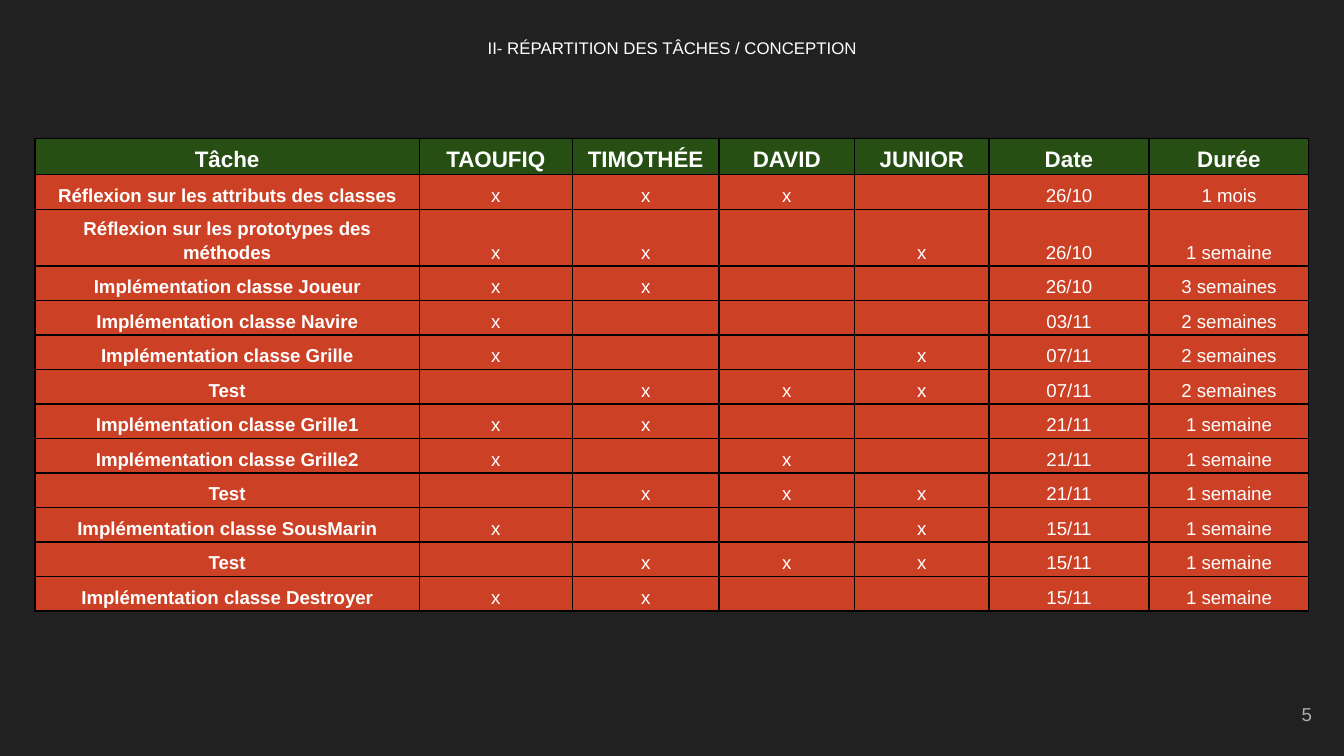
from dataclasses import dataclass

from lxml.etree import SubElement
from pptx import Presentation
from pptx.dml.color import RGBColor
from pptx.enum.text import MSO_ANCHOR, MSO_AUTO_SIZE, PP_ALIGN
from pptx.oxml import parse_xml
from pptx.oxml.ns import nsdecls, qn
from pptx.util import Inches, Pt


@dataclass(frozen=True)
class Theme:
    """Colours, font and type sizes of the deck."""
    back: RGBColor = RGBColor.from_string("212121")
    head: RGBColor = RGBColor.from_string("274E13")
    body: RGBColor = RGBColor.from_string("CC4125")
    text: RGBColor = RGBColor.from_string("FFFFFF")
    mute: RGBColor = RGBColor.from_string("ADADAD")
    edge: str = "000000"
    font: str = "Arial"
    title: Pt = Pt(9)
    label: Pt = Pt(12)
    small: Pt = Pt(10)
    blank: Pt = Pt(13)


THEME = Theme()
INSETS = {f"margin_{side}": Inches(0.1) for side in ("left", "top", "right", "bottom")}
CELL = {name: Inches(0.02) for name in INSETS} | {"vertical_anchor": MSO_ANCHOR.BOTTOM}
WIDTHS = (2.86, 1.14, 1.09, 1.01, 1, 1.19, 1.19)
HEADS = ("Tâche", "TAOUFIQ", "TIMOTHÉE", "DAVID", "JUNIOR", "Date", "Durée")
TASKS = (
    ("Réflexion sur les attributs des classes", "xxx-", "26/10", "1 mois"),
    ("Réflexion sur les prototypes des méthodes", "xx-x", "26/10", "1 semaine"),
    ("Implémentation classe Joueur", "xx--", "26/10", "3 semaines"),
    ("Implémentation classe Navire", "x---", "03/11", "2 semaines"),
    ("Implémentation classe Grille", "x--x", "07/11", "2 semaines"),
    ("Test", "-xxx", "07/11", "2 semaines"),
    ("Implémentation classe Grille1", "xx--", "21/11", "1 semaine"),
    ("Implémentation classe Grille2", "x-x-", "21/11", "1 semaine"),
    ("Test", "-xxx", "21/11", "1 semaine"),
    ("Implémentation classe SousMarin", "x--x", "15/11", "1 semaine"),
    ("Test", "-xxx", "15/11", "1 semaine"),
    ("Implémentation classe Destroyer", "xx--", "15/11", "1 semaine"),
)


def apply(item, values):
    """Set each named value on the item."""
    for name, value in values.items():
        setattr(item, name, value)


def place(shape, box):
    """Move the shape into the box, given in inches."""
    apply(shape, dict(zip(("left", "top", "width", "height"), map(Inches, box))))


def write(frame, text, size, color=THEME.text, bold=False, **para):
    """Write one formatted line of text into the frame."""
    line = frame.paragraphs[0]
    apply(line, {"alignment": PP_ALIGN.CENTER, "line_spacing": 1.15} | para)
    if not text:
        SubElement(line._p, qn("a:endParaRPr"), sz=str(int(THEME.blank.pt * 100)))
        return
    run = line.add_run()
    run.text = text
    apply(run.font, {"name": THEME.font, "size": size, "bold": bold})
    run.font.color.rgb = color


def add_title(slide, box, text):
    """Fill the title placeholder."""
    title = slide.shapes.title
    place(title, box)
    apply(title.text_frame, INSETS | {"vertical_anchor": MSO_ANCHOR.TOP,
                                      "auto_size": MSO_AUTO_SIZE.NONE, "word_wrap": True})
    write(title.text_frame, text, THEME.title)


def add_number(slide, box, text):
    """Add the page number."""
    frame = slide.shapes.add_textbox(*map(Inches, box)).text_frame
    apply(frame, INSETS | {"vertical_anchor": MSO_ANCHOR.MIDDLE, "word_wrap": False})
    write(frame, text, THEME.small, THEME.mute, alignment=PP_ALIGN.RIGHT, line_spacing=1.0)


def fill_cell(cell, text, fill, size, bold):
    """Fill one table cell and draw its borders."""
    apply(cell, CELL)
    cell.fill.solid()
    cell.fill.fore_color.rgb = fill
    write(cell.text_frame, text, size, bold=bold)
    for spot, side in enumerate("LRTB"):
        cell._tc.tcPr.insert(spot, parse_xml(
            f'<a:ln{side} {nsdecls("a")} w="{Pt(0.75)}"><a:solidFill>'
            f'<a:srgbClr val="{THEME.edge}"/></a:solidFill></a:ln{side}>'))


def add_tasks(slide, box):
    """Add the table of tasks, who does them and when."""
    rows = [HEADS] + [(task, *marks.replace("-", " "), date, span)
                      for task, marks, date, span in TASKS]
    grid = slide.shapes.add_table(len(rows), len(HEADS), *map(Inches, box)).table
    apply(grid, {"first_row": False, "horz_banding": False})
    for col, width in zip(grid.columns, WIDTHS):
        col.width = Inches(width)
    for r, row in enumerate(rows):
        head = r == 0
        grid.rows[r].height = Inches(0.25 if head else 0.22)
        for c, text in enumerate(row):
            fill_cell(grid.cell(r, c), text.strip(), THEME.head if head else THEME.body,
                      THEME.label if head else THEME.small, head or c == 0)


def main():
    """Build and save the slide."""
    deck = Presentation()
    apply(deck, {"slide_width": Inches(10), "slide_height": Inches(10) * 9 // 16})
    slide = deck.slides.add_slide(deck.slide_layouts[5])
    slide.background.fill.solid()
    slide.background.fill.fore_color.rgb = THEME.back
    add_title(slide, (0.34, 0.16, 9.32, 0.58), "II- RÉPARTITION DES TÂCHES / CONCEPTION")
    add_number(slide, (9.57, 5.14, 0.29, 0.35), "5")
    add_tasks(slide, (0.26, 1.03, 9.48, 2.88))
    deck.save("out.pptx")


if __name__ == "__main__":
    main()
